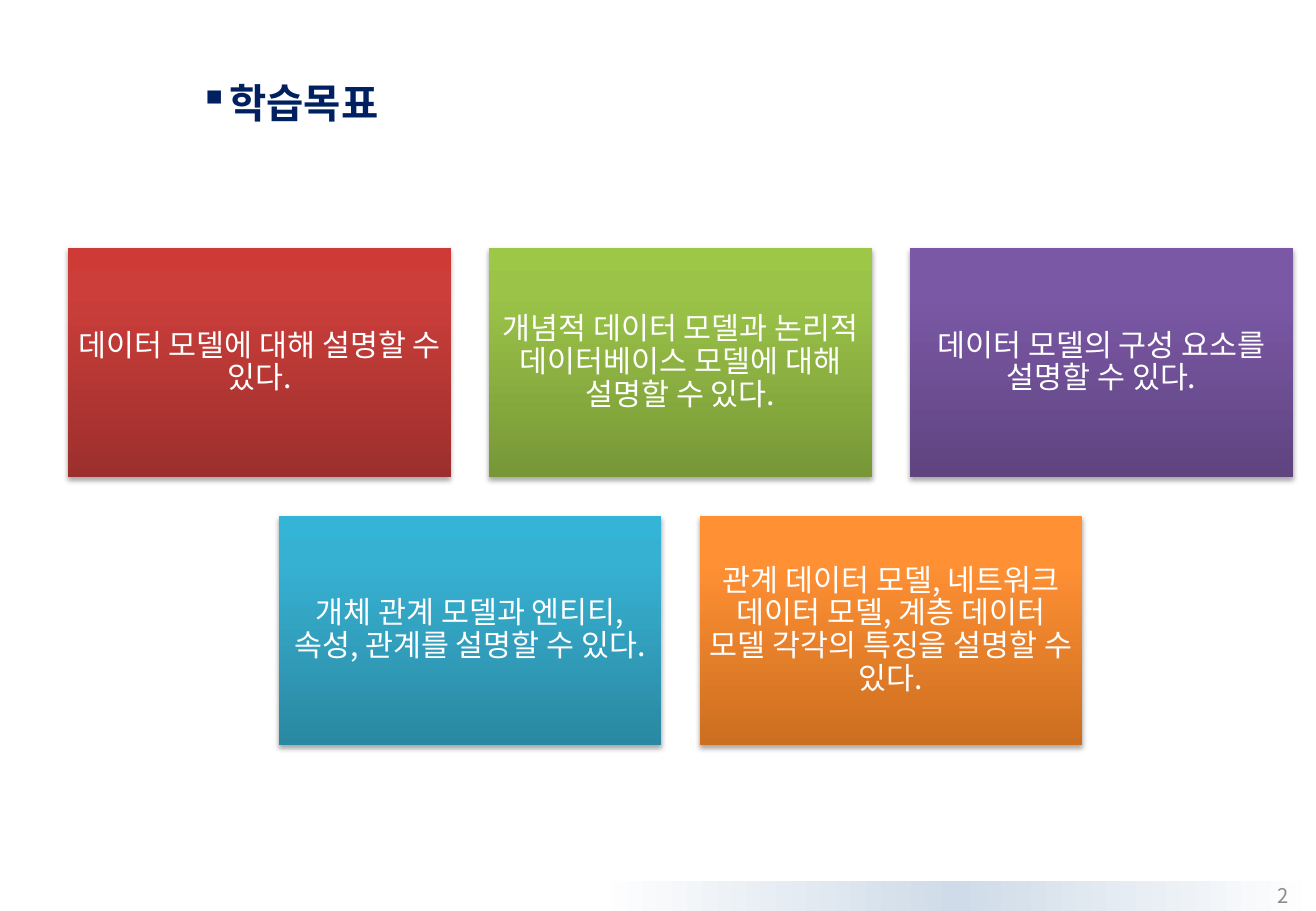
"""Builds the learning objectives slide: a title above two centred rows of cards."""
from dataclasses import dataclass

from lxml.etree import SubElement
from pptx import Presentation
from pptx.dml.color import RGBColor
from pptx.enum.shapes import MSO_SHAPE as Shape
from pptx.enum.text import MSO_ANCHOR as Anchor, PP_ALIGN as Align
from pptx.oxml.ns import qn
from pptx.util import Inches, Pt

TITLE = "학습목표"
PAGE_NUMBER = "2"
OBJECTIVE_ROWS = [
    [
        ("데이터 모델에 대해 설명할 수 있다.", ("9C2F2D", "CB3E3A", "CE3B37")),
        ("개념적 데이터 모델과 논리적 데이터베이스 모델에 대해 설명할 수 있다.",
         ("779737", "9BC348", "9DC746")),
        ("데이터 모델의 구성 요소를 설명할 수 있다.", ("5F4480", "7B58A6", "7C57A8")),
    ],
    [
        ("개체 관계 모델과 엔티티, 속성, 관계를 설명할 수 있다.",
         ("2A88A2", "37B1D2", "34B4D6")),
        ("관계 데이터 모델, 네트워크 데이터 모델, 계층 데이터 모델 각각의 특징을 설명할 수 있다.",
         ("CC6E20", "FF9034", "FF9136")),
    ],
]


@dataclass(frozen=True)
class Theme:
    """Colours, font and type sizes."""
    font: str = "Noto Sans CJK KR"
    title: str = "002060"
    card_text: str = "FFFFFF"
    page_number: str = "8C8C8C"
    shadow: str = "000000"
    band: tuple = ("FFFFFF", "CFDBE8", "FFFFFF")
    title_size: int = 24
    card_size: int = 18
    page_number_size: int = 12


THEME = Theme()
SLIDE_W, SLIDE_H = 10.83, 7.5
CARD_W, CARD_H = 3.15, 1.89
GAP = CARD_W / 10
CARDS_TOP, CARDS_CENTER = 2.04, 5.6
CARD_INSET = 0.07
BAND_W, BAND_H = 5.92, 0.25


def write(frame, text, size, color, align, anchor, bold=False):
    """Put one styled paragraph in a text frame."""
    frame.word_wrap = True
    frame.vertical_anchor = anchor
    paragraph = frame.paragraphs[0]
    paragraph.text = text
    paragraph.alignment = align
    font = paragraph.font
    font.name, font.size, font.bold = THEME.font, Pt(size), bold
    font.color.rgb = RGBColor.from_string(color)
    latin = paragraph._p.pPr.find(qn("a:defRPr")).find(qn("a:latin"))
    east_asian = latin.makeelement(qn("a:ea"), {"typeface": THEME.font})
    latin.addnext(east_asian)
    return paragraph


def add_gradient_box(slide, box, stops, angle):
    """Add a borderless rectangle with a linear gradient."""
    shape = slide.shapes.add_shape(Shape.RECTANGLE, *map(Inches, box))
    shape.shadow.inherit = False
    shape.line.fill.background()
    shape.fill.gradient()
    shape.fill.gradient_angle = angle
    stop_list = shape._element.spPr.find(qn("a:gradFill")).find(qn("a:gsLst"))
    stop_list.clear()
    for position, color in stops:
        stop = SubElement(stop_list, qn("a:gs"), pos=str(position * 1000))
        SubElement(stop, qn("a:srgbClr"), val=color)
    return shape


def add_shadow(shape):
    """Give a shape a soft shadow straight below it."""
    effects = shape._element.spPr.find(qn("a:effectLst"))
    shadow = SubElement(effects, qn("a:outerShdw"), blurRad=str(Pt(3.1)),
                        dist=str(Pt(1.8)), dir="5400000", rotWithShape="0")
    color = SubElement(shadow, qn("a:srgbClr"), val=THEME.shadow)
    SubElement(color, qn("a:alpha"), val="35000")


def add_card(slide, left, top, objective, colors):
    """Add one objective card."""
    card = add_gradient_box(slide, (left, top, CARD_W, CARD_H),
                            zip((0, 80, 100), colors), 90)
    add_shadow(card)
    frame = card.text_frame
    frame.margin_left = frame.margin_right = Inches(CARD_INSET)
    frame.margin_top = frame.margin_bottom = Inches(CARD_INSET)
    paragraph = write(frame, objective, THEME.card_size, THEME.card_text,
                      Align.CENTER, Anchor.MIDDLE)
    paragraph.line_spacing = 0.9


def add_label(slide, box, *style, **options):
    """Add a text box holding one paragraph."""
    label = slide.shapes.add_textbox(*map(Inches, box))
    return write(label.text_frame, *style, **options)


def main():
    """Build and save the slide."""
    deck = Presentation()
    deck.slide_width, deck.slide_height = Inches(SLIDE_W), Inches(SLIDE_H)
    slide = deck.slides.add_slide(deck.slide_layouts[6])

    add_gradient_box(slide, (SLIDE_W - BAND_W, SLIDE_H - BAND_H, BAND_W, BAND_H),
                     zip((0, 50, 100), THEME.band), 0)

    for row, objectives in enumerate(OBJECTIVE_ROWS):
        row_w = len(objectives) * (CARD_W + GAP) - GAP
        top = CARDS_TOP + row * (CARD_H + GAP)
        for column, (objective, colors) in enumerate(objectives):
            left = CARDS_CENTER - row_w / 2 + column * (CARD_W + GAP)
            add_card(slide, left, top, objective, colors)

    title = add_label(slide, (1.54, 0.63, 7.71, 0.46), TITLE, THEME.title_size,
                      THEME.title, Align.LEFT, Anchor.BOTTOM, bold=True)
    properties = title._p.pPr
    properties.set("marL", "0")
    properties.set("indent", "0")
    bullet = properties.makeelement(qn("a:buChar"), {"char": "▪"})
    properties.find(qn("a:defRPr")).addprevious(bullet)

    add_label(slide, (8.17, SLIDE_H - BAND_H, 2.53, BAND_H), PAGE_NUMBER,
              THEME.page_number_size, THEME.page_number, Align.RIGHT, Anchor.MIDDLE)

    deck.save("out.pptx")


if __name__ == "__main__":
    main()
